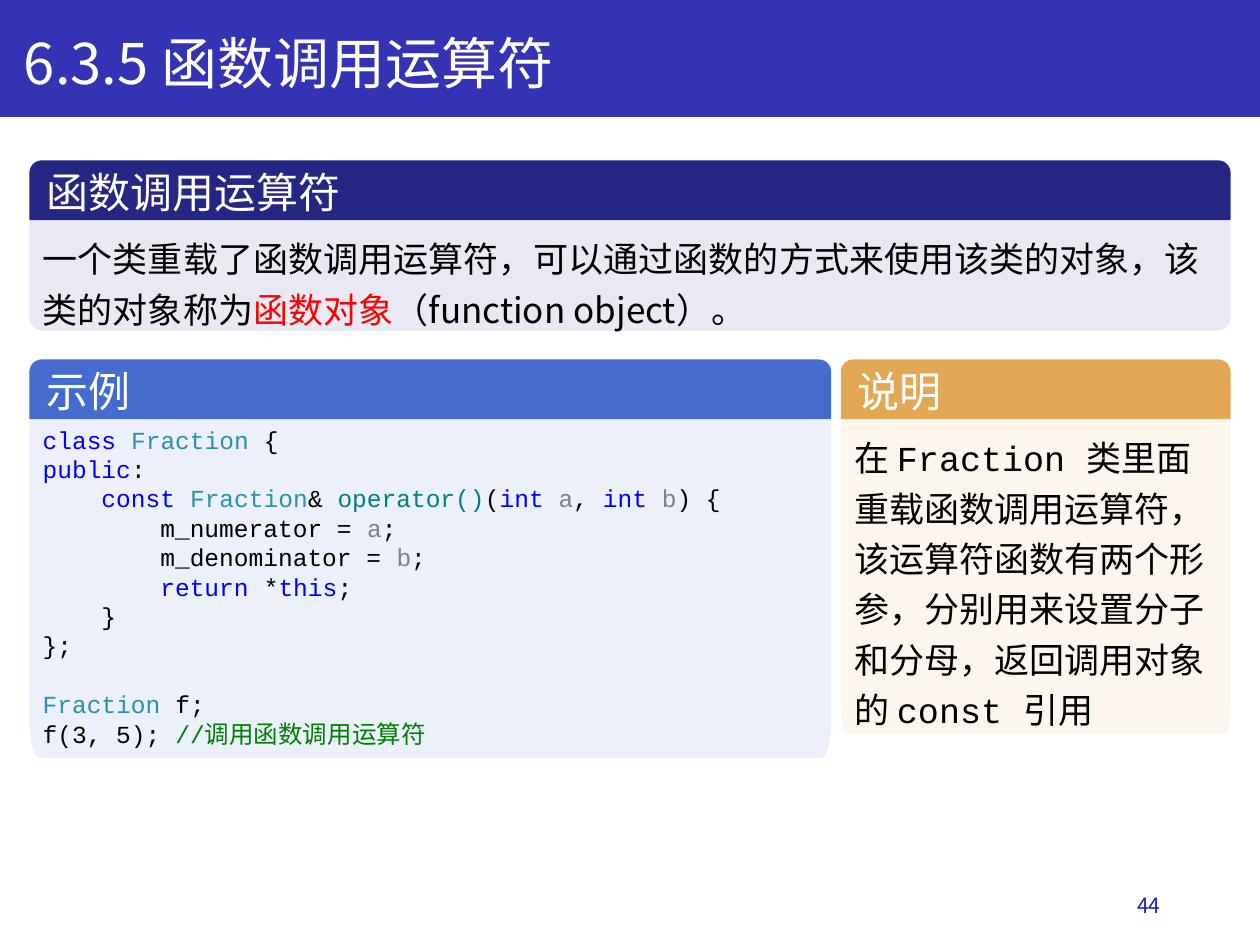
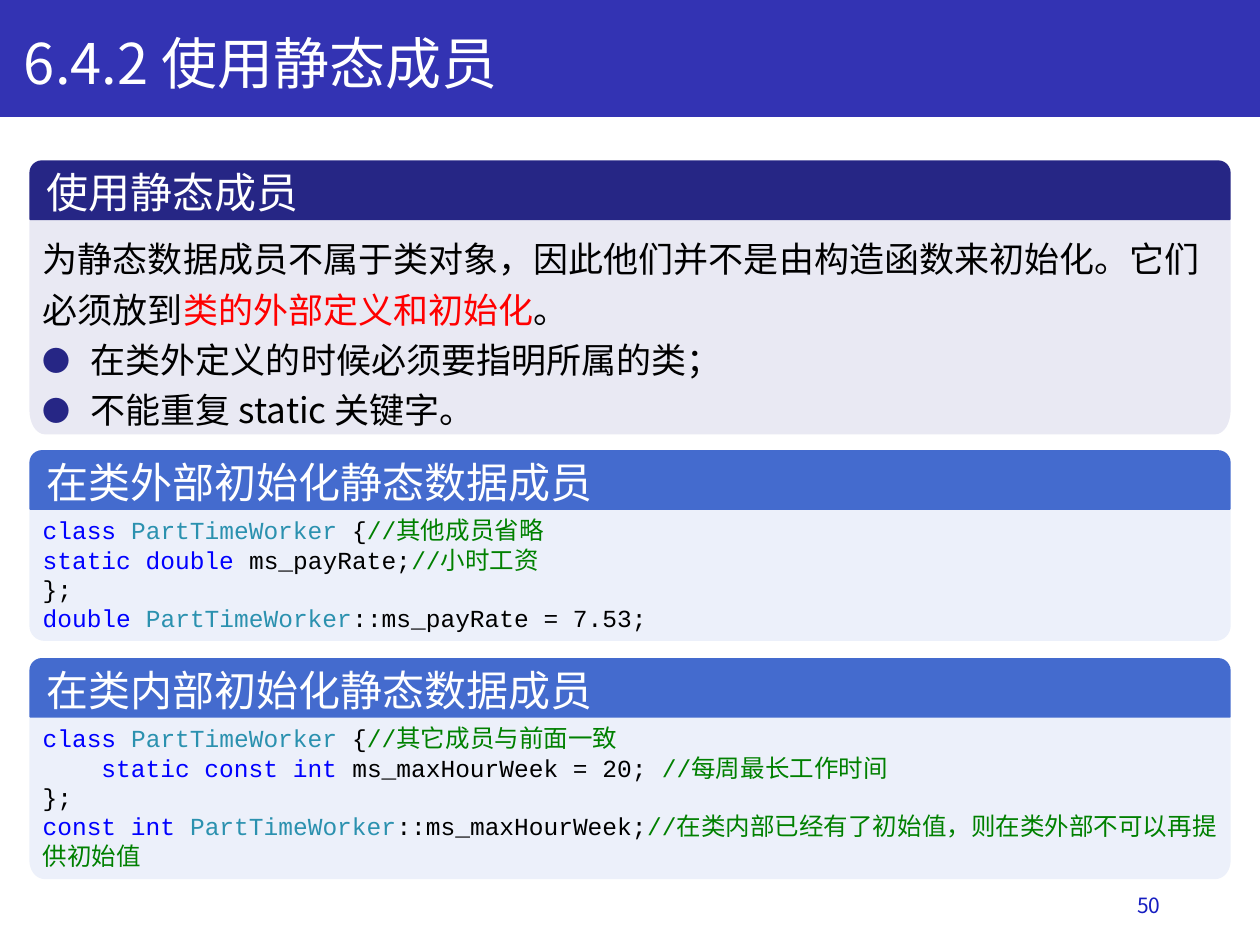
from dataclasses import dataclass
from math import cos, pi, sin

from lxml.etree import SubElement
from pptx import Presentation
from pptx.dml.color import RGBColor
from pptx.enum.shapes import MSO_SHAPE as Shape
from pptx.enum.text import MSO_ANCHOR as Anchor, MSO_AUTO_SIZE as AutoSize, PP_ALIGN as Align
from pptx.oxml.ns import qn
from pptx.util import Inches, Pt


@dataclass(frozen=True)
class Theme:
    sans: str = "Noto Sans CJK SC"
    mono: str = "Courier New"
    title_size: int = 32
    header_size: int = 24
    prose_size: int = 20
    code_size: int = 14
    number_size: int = 12
    prose_leading: float = 28.8
    code_leading: float = 16.8
    band: str = "3333B3"
    number: str = "151DC1"
    white: str = "FFFFFF"
    plain: str = "000000"
    accent: str = "FF0000"
    keyword: str = "0000FF"
    type_name: str = "2B91AF"
    operator: str = "008080"
    parameter: str = "808080"
    comment: str = "008000"
    # Panel colours: header, body
    navy: tuple = ("262685", "E9E9F3")
    blue: tuple = ("446BCE", "ECF0FA")
    orange: tuple = ("E2A856", "FCF6EE")


THEME = Theme()
LEFT, FULL_WIDTH, HEADER_HEIGHT = 0.24, 9.52, 0.46
FIRST_TOP = 1.28


class Builder:
    def __init__(self, theme):
        self.theme = theme
        self.deck = Presentation()
        self.deck.slide_width, self.deck.slide_height = Inches(10), Inches(7.5)
        self.layout = self.deck.slide_layouts[1]
        self.page = None

    def start_page(self, title, number):
        theme = self.theme
        first = self.page is None
        self.page = self.deck.slides.add_slide(self.layout)
        if first:
            self.add_band_to_layout()
        box = self.page.shapes.title
        self.place(box, 0.09, 0.17, 9.67, 0.64)
        frame = self.prepare(box, Anchor.MIDDLE)
        self.add_spans(frame.paragraphs[0], [(title, theme.white)], theme.title_size)
        box = self.page.shapes.add_textbox(Inches(7.06), Inches(6.98), Inches(2.25), Inches(0.4))
        frame = self.prepare(box, Anchor.MIDDLE)
        self.add_spans(frame.paragraphs[0], [(str(number), theme.number)], theme.number_size)
        frame.paragraphs[0].alignment = Align.RIGHT

    def add_band_to_layout(self):
        band = self.page.shapes.add_shape(Shape.RECTANGLE, 0, 0, Inches(10), Inches(0.92))
        self.paint(band, self.theme.band)
        band.element.xpath("./p:nvSpPr/p:cNvPr")[0].set("id", "20")
        self.layout.shapes.element.insert(2, band.element)

    @staticmethod
    def place(box, left, top, width, height):
        box.left, box.top = Inches(left), Inches(top)
        box.width, box.height = Inches(width), Inches(height)

    @staticmethod
    def paint(shape, color):
        shape.shadow.inherit = False
        shape.fill.solid()
        shape.fill.fore_color.rgb = RGBColor.from_string(color)
        shape.line.color.rgb = RGBColor.from_string(color)
        shape.line.width = Pt(1)

    @staticmethod
    def prepare(box, anchor, margin_top=0.05):
        frame = box.text_frame
        frame.word_wrap = True
        frame.auto_size = AutoSize.NONE
        frame.vertical_anchor = anchor
        frame.margin_top = Inches(margin_top)
        return frame

    def add_spans(self, para, spans, size, default_font=None):
        """Add spans of (text, colour) or (text, colour, font) to a paragraph."""
        para.alignment = Align.LEFT
        for text, color, *font in spans:
            span = para.add_run()
            span.text = text
            span.font.size = Pt(size)
            span.font.color.rgb = RGBColor.from_string(color)
            span.font.name = font[0] if font else default_font or self.theme.sans
            SubElement(span.font._element, qn("a:ea"), typeface=self.theme.sans)

    def set_bullet(self, para, shown):
        properties = para._p.get_or_add_pPr()
        indent = Inches(0.38) if shown else 0
        properties.set("marL", str(indent))
        properties.set("indent", str(-indent))
        if not shown:
            SubElement(properties, qn("a:buNone"))
            return
        color = SubElement(properties, qn("a:buClr"))
        SubElement(color, qn("a:srgbClr"), val=self.theme.navy[0])
        SubElement(properties, qn("a:buSzPct"), val="80000")
        SubElement(properties, qn("a:buFont"), typeface=self.theme.sans)
        SubElement(properties, qn("a:buChar"), char="●")

    def rounded_base(self, left, top, width, height, color):
        """Draw a box with a square top and elliptical bottom corners."""
        radius_x, radius_y = 0.012 * width, 0.11 * height
        right, bottom = left + width, top + height
        angles = [step * pi / 16 for step in range(9)]
        corner = [(radius_x * (1 - cos(a)), radius_y * (1 - sin(a))) for a in angles]
        points = [(right, top)]
        points += [(right - x, bottom - y) for x, y in corner]
        points += [(left + x, bottom - y) for x, y in reversed(corner)]
        outline = self.page.shapes.build_freeform(Inches(left), Inches(top))
        outline.add_line_segments([(Inches(x), Inches(y)) for x, y in points], close=True)
        shape = outline.convert_to_shape()
        self.paint(shape, color)
        return shape

    def panel(self, heading, colors, left, top, width, body_height):
        """Draw a headed panel and return its body shape."""
        body_top = top + HEADER_HEIGHT
        body = self.rounded_base(left, body_top, width, body_height, colors[1])
        header = self.page.shapes.add_shape(
            Shape.ROUND_2_SAME_RECTANGLE, Inches(left), Inches(top),
            Inches(width), Inches(HEADER_HEIGHT))
        header.adjustments[0], header.adjustments[1] = 0.2, 0
        self.paint(header, colors[0])
        frame = self.prepare(header, Anchor.MIDDLE)
        self.add_spans(frame.paragraphs[0], [(heading, self.theme.white)],
                       self.theme.header_size, self.theme.mono)
        return body

    def prose(self, box, paragraphs, bullets_from=None):
        frame = self.prepare(box, Anchor.TOP, 0.08)
        for index, spans in enumerate(paragraphs):
            para = frame.add_paragraph() if index else frame.paragraphs[0]
            para.line_spacing = Pt(self.theme.prose_leading)
            para.space_before = Pt(0)
            self.set_bullet(para, bullets_from is not None and index >= bullets_from)
            self.add_spans(para, spans, self.theme.prose_size)

    def lead_panel(self, heading, body_height, paragraphs, bullets_from=None):
        """Draw the top panel, with its text in the body placeholder."""
        self.panel(heading, self.theme.navy, LEFT, FIRST_TOP, FULL_WIDTH, body_height)
        holder = self.page.placeholders[1]
        self.place(holder, LEFT, FIRST_TOP + HEADER_HEIGHT, FULL_WIDTH, body_height)
        self.page.shapes.element.append(holder.element)
        self.prose(holder, paragraphs, bullets_from)

    def code_panel(self, heading, top, width, body_height, lines):
        """Draw a code listing; an empty line becomes space before the next one."""
        theme = self.theme
        body = self.panel(heading, theme.blue, LEFT, top, width, body_height)
        frame = self.prepare(body, Anchor.TOP)
        gap = 0
        for index, spans in enumerate(lines):
            if not spans:
                gap = theme.code_leading
                continue
            para = frame.add_paragraph() if index else frame.paragraphs[0]
            para.line_spacing = Pt(theme.code_leading)
            if gap:
                para.space_before = Pt(gap)
                gap = 0
            self.add_spans(para, spans, theme.code_size, theme.mono)


def keyword(text):
    return text, THEME.keyword


def type_name(text):
    return text, THEME.type_name


def parameter(text):
    return text, THEME.parameter


def plain(text):
    return text, THEME.plain


def comment(text):
    return text, THEME.comment


def accent(text):
    return text, THEME.accent


def mono(text):
    return text, THEME.plain, THEME.mono


def build_call_operator(builder):
    builder.start_page("6.3.5 函数调用运算符", 44)
    builder.lead_panel("函数调用运算符", 0.88, [[
        plain("一个类重载了函数调用运算符，可以通过函数的方式来使用该类的对象，该类的对象称为"),
        accent("函数对象"), plain("（function object）。")]])
    top = 2.86
    builder.code_panel("示例", top, 6.35, 2.69, [
        [keyword("class "), type_name("Fraction"), plain(" {")],
        [keyword("public"), plain(":")],
        [keyword("    const "), type_name("Fraction"), plain("& "),
         ("operator()", THEME.operator), plain("("), keyword("int "), parameter("a"),
         plain(", "), keyword("int "), parameter("b"), plain(") {")],
        [plain("        m_numerator = "), parameter("a"), plain(";")],
        [plain("        m_denominator = "), parameter("b"), plain(";")],
        [keyword("        return"), plain(" *"), keyword("this"), plain(";")],
        [plain("    }")],
        [plain("};")],
        [],
        [type_name("Fraction"), plain(" f;")],
        [plain("f(3, 5); "), comment("//调用函数调用运算符")],
    ])
    note = builder.panel("说明", THEME.orange, 6.68, top, 3.08, 2.5)
    builder.prose(note, [[
        plain("在 "), mono("Fraction "),
        plain("类里面重载函数调用运算符，该运算符函数有两个形参，分别用来设置分子和分母，返回调用对象的 "),
        mono("const "), plain("引用")]])


def build_static_members(builder):
    builder.start_page("6.4.2 使用静态成员", 50)
    builder.lead_panel("使用静态成员", 1.7, [
        [plain("为静态数据成员不属于类对象，因此他们并不是由构造函数来初始化。它们必须放到"),
         accent("类的外部定义和初始化"), plain("。")],
        [plain("在类外定义的时候必须要指明所属的类；")],
        [plain("不能重复 static 关键字。")],
    ], bullets_from=1)
    worker = type_name("PartTimeWorker")
    opening = [keyword("class "), worker, plain(" {")]
    closing = [plain("};")]
    builder.code_panel("在类外部初始化静态数据成员", 3.58, FULL_WIDTH, 1.04, [
        opening + [comment("//其他成员省略")],
        [keyword("static double "), plain("ms_payRate;"), comment("//小时工资")],
        closing,
        [keyword("double "), worker, plain("::ms_payRate = 7.53;")],
    ])
    builder.code_panel("在类内部初始化静态数据成员", 5.23, FULL_WIDTH, 1.28, [
        opening + [comment("//其它成员与前面一致")],
        [keyword("    static const int "), plain("ms_maxHourWeek = 20; "),
         comment("//每周最长工作时间")],
        closing,
        [keyword("const int "), worker, plain("::ms_maxHourWeek;"),
         comment("//在类内部已经有了初始值，则在类外部不可以再提供初始值")],
    ])


def main():
    builder = Builder(THEME)
    build_call_operator(builder)
    build_static_members(builder)
    builder.deck.save("out.pptx")


if __name__ == "__main__":
    main()
